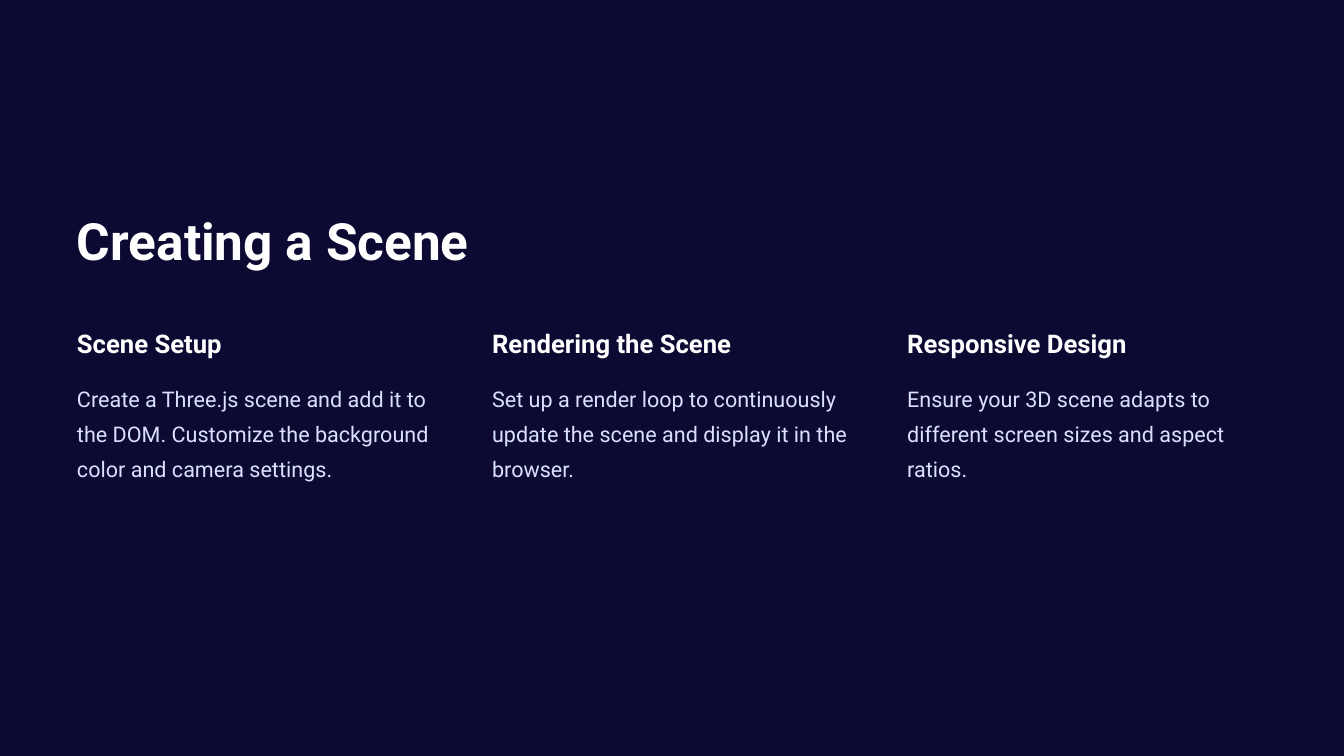
from pptx import Presentation
from pptx.dml.color import RGBColor
from pptx.enum.shapes import MSO_SHAPE
from pptx.util import Emu, Pt

PX = 9525
NAVY = RGBColor(0x0C, 0x0A, 0x33)
WHITE = RGBColor(0xFF, 0xFF, 0xFF)
LAVENDER = RGBColor(0xD9, 0xE1, 0xFF)

TOPICS = [
    ("Scene Setup",
     "Create a Three.js scene and add it to the DOM. "
     "Customize the background color and camera settings."),
    ("Rendering the Scene",
     "Set up a render loop to continuously update the scene "
     "and display it in the browser."),
    ("Responsive Design",
     "Ensure your 3D scene adapts to different screen sizes "
     "and aspect ratios."),
]


def px(length):
    return Emu(round(length * PX))


def add_backdrop(slide, box):
    backdrop = slide.shapes.add_shape(MSO_SHAPE.RECTANGLE, *map(px, box))
    backdrop.shadow.inherit = False
    backdrop.fill.solid()
    backdrop.fill.fore_color.rgb = NAVY
    backdrop.line.fill.background()


def add_text(slide, box, text, size, leading, color, bold=False):
    frame = slide.shapes.add_textbox(*map(px, box)).text_frame
    frame.margin_left = frame.margin_right = 0
    frame.margin_top = frame.margin_bottom = 0
    frame.word_wrap = True
    paragraph = frame.paragraphs[0]
    paragraph.text = text
    paragraph.line_spacing = Pt(leading)
    font = paragraph.font
    font.name = "Roboto"
    font.size = Pt(size)
    font.bold = bold
    font.color.rgb = color


def add_topic(slide, box, heading, description):
    left, top, width, height = box
    add_text(slide, (left, top, width, 50), heading, 27.5, 34.4, WHITE, bold=True)
    add_text(slide, (left, top + 71, width, height - 71), description,
             23.1, 37.5, LAVENDER)


def add_topics(slide, box, topics, column_width):
    left, top, width, height = box
    pitch = (width - column_width) / (len(topics) - 1)
    for index, (heading, description) in enumerate(topics):
        column = (left + index * pitch, top, column_width, height)
        add_topic(slide, column, heading, description)


def main():
    deck = Presentation()
    deck.slide_width, deck.slide_height = px(1920), px(1080)
    slide = deck.slides.add_slide(deck.slide_layouts[6])

    add_backdrop(slide, (0, 0, 1920, 1080))
    add_text(slide, (110, 295, 739, 98), "Creating a Scene", 55, 68.8, WHITE, bold=True)
    add_topics(slide, (110, 467, 1702, 234), TOPICS, column_width=516)
    deck.save("out.pptx")


if __name__ == "__main__":
    main()
